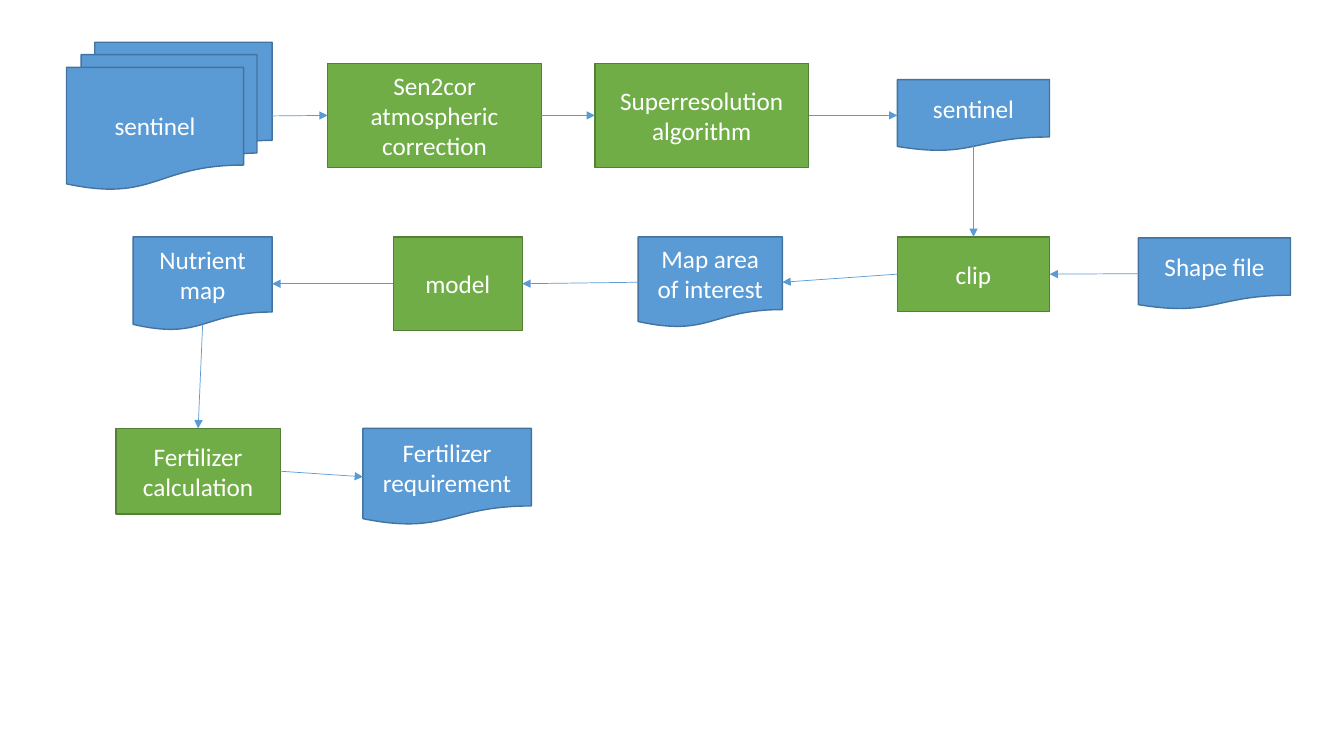
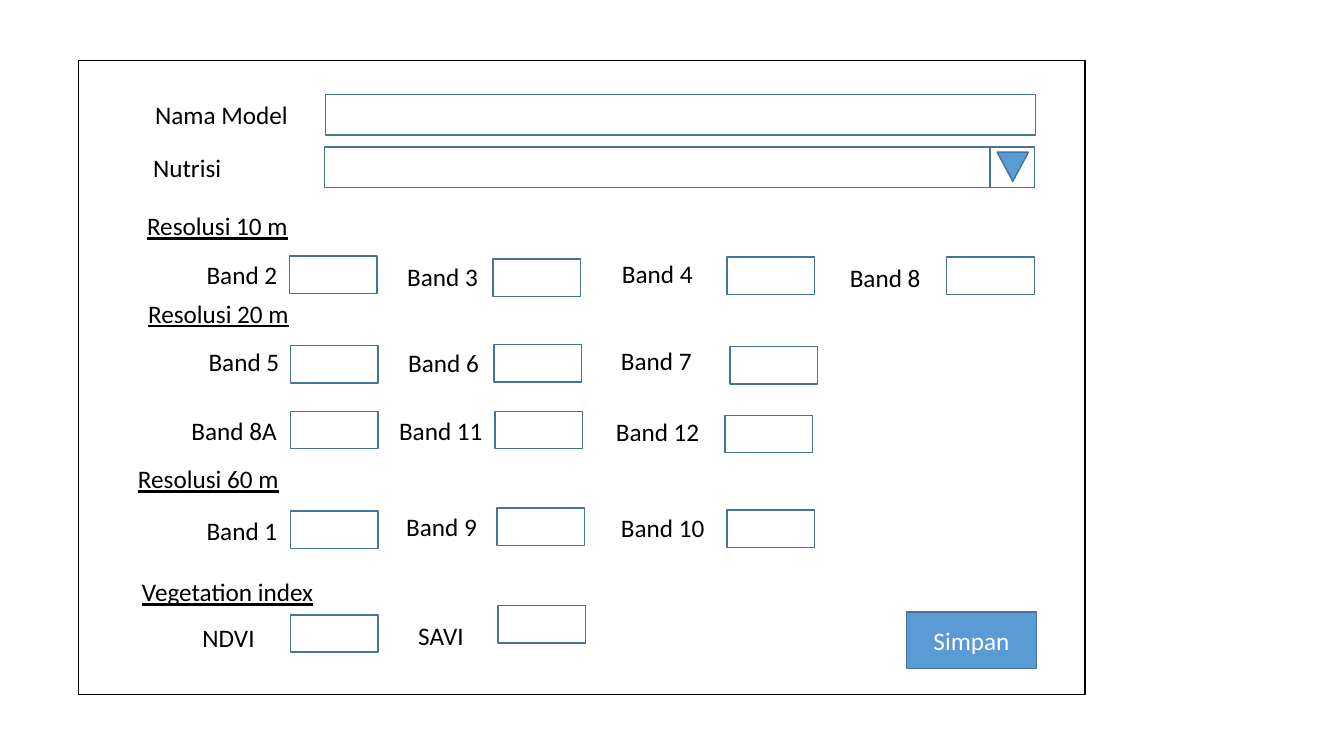
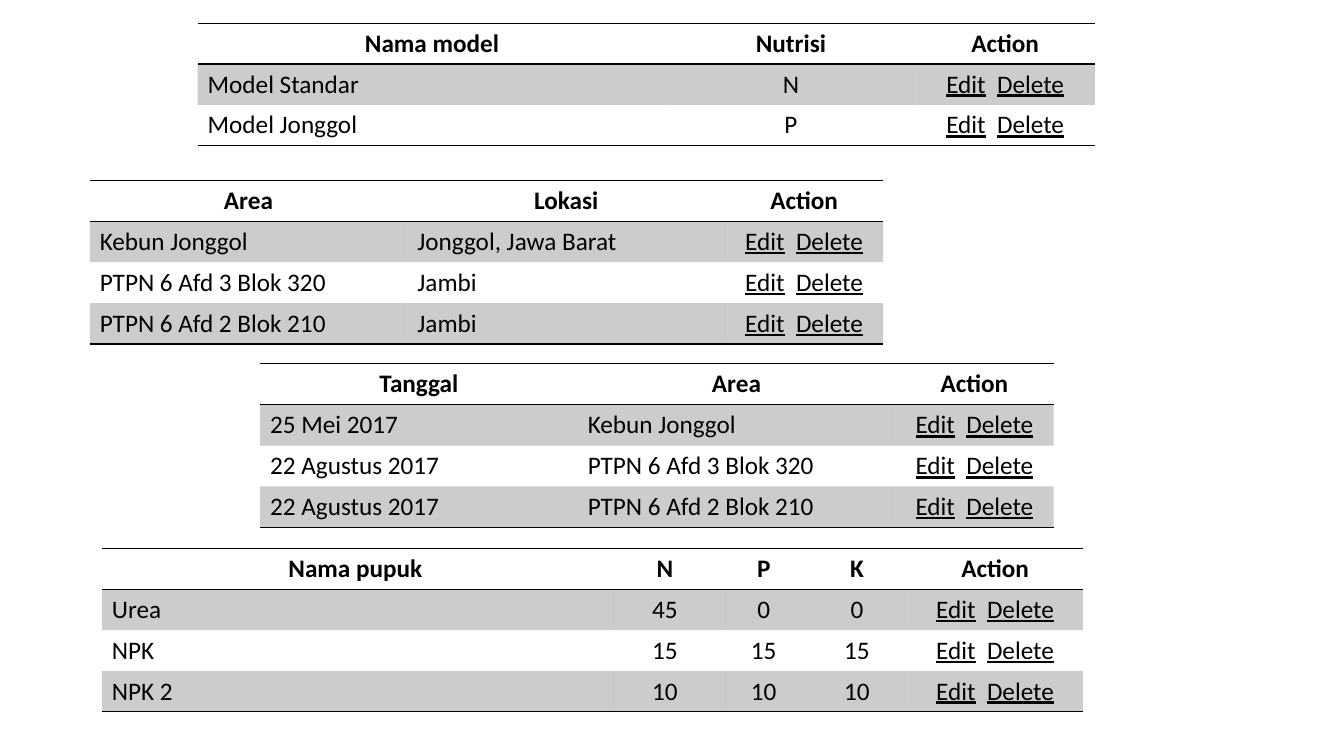
from lxml.etree import SubElement
from pptx import Presentation
from pptx.dml.color import RGBColor
from pptx.enum.shapes import MSO_CONNECTOR, MSO_SHAPE
from pptx.enum.text import MSO_ANCHOR, MSO_AUTO_SIZE, PP_ALIGN
from pptx.oxml.ns import qn
from pptx.util import Inches, Pt

# Shared style
FONT = "Calibri"
TEXT_SIZE = Pt(18)
BLACK = RGBColor(0x00, 0x00, 0x00)
WHITE = RGBColor(0xFF, 0xFF, 0xFF)
BLUE = RGBColor(0x5B, 0x9B, 0xD5)
DARK_BLUE = RGBColor(0x43, 0x73, 0x9E)
GREEN = RGBColor(0x70, 0xAD, 0x47)
DARK_GREEN = RGBColor(0x53, 0x80, 0x35)
PLAIN_TABLE = "{2D5ABB26-0587-4C30-8999-92F81FD0307C}"
ROW_H = 0.405

PROCESS = MSO_SHAPE.FLOWCHART_PROCESS
DOCUMENT = MSO_SHAPE.FLOWCHART_DOCUMENT
MULTIDOCUMENT = MSO_SHAPE.FLOWCHART_MULTIDOCUMENT
TOP, LEFT, BOTTOM, RIGHT = range(4)
WAVE_DEPTH = 0.934  # height of a document shape at the middle of its wavy edge


def style_text(p, color, align=None, bold=False, underline=False):
    p.alignment = align
    font = p.font
    font.name, font.size = FONT, TEXT_SIZE
    font.color.rgb = color
    font.bold, font.underline = bold, underline


def add_box(shapes, kind, x, y, w, h, fill=None, line=DARK_BLUE, text=None):
    sp = shapes.add_shape(kind, Inches(x), Inches(y), Inches(w), Inches(h))
    sp.shadow.inherit = False
    if fill is None:
        sp.fill.background()
    else:
        sp.fill.solid()
        sp.fill.fore_color.rgb = fill
    sp.line.color.rgb = line
    sp.line.width = Pt(1)
    if text:
        tf = sp.text_frame
        tf.word_wrap = True
        tf.vertical_anchor = MSO_ANCHOR.MIDDLE
        tf.text = text
        style_text(tf.paragraphs[0], WHITE, PP_ALIGN.CENTER)
    return sp


def add_label(shapes, text, x, y, w, underline=False):
    tf = shapes.add_textbox(Inches(x), Inches(y), Inches(w), Inches(0.4)).text_frame
    tf.word_wrap = False
    tf.auto_size = MSO_AUTO_SIZE.SHAPE_TO_FIT_TEXT
    tf.text = text
    style_text(tf.paragraphs[0], BLACK, underline=underline)


def add_arrow(s, start, start_site, end, end_site):
    cn = s.shapes.add_connector(MSO_CONNECTOR.STRAIGHT, 0, 0, 0, 0)
    cn.begin_connect(start, start_site)
    cn.end_connect(end, end_site)
    if start_site == BOTTOM and start.auto_shape_type == DOCUMENT:
        cn.begin_y = start.top + int(start.height * WAVE_DEPTH)
    cn.line.color.rgb = BLUE
    cn.line.width = Pt(0.5)
    SubElement(cn.line._get_or_add_ln(), qn("a:tailEnd"), type="triangle")
    SubElement(cn._element.spPr, qn("a:effectLst"))


def add_border(cell, side):
    ln = SubElement(cell._tc.get_or_add_tcPr(), qn("a:" + side), w=str(Pt(1)))
    fill = SubElement(ln, qn("a:solidFill"))
    SubElement(fill, qn("a:srgbClr"), val=str(BLACK))


def fill_cell(cell, shaded):
    if not shaded:
        cell.fill.background()
        return
    cell.fill.solid()
    cell.fill.fore_color.rgb = BLACK
    color = cell._tc.tcPr.find(qn("a:solidFill")).find(qn("a:srgbClr"))
    SubElement(color, qn("a:alpha"), val="20000")


def add_action_links(p):
    for text in ("Edit", "  ", "Delete"):
        r = p.add_run()
        r.text = text
        r.font.underline = bool(text.strip())


def add_record_table(s, x, y, widths, centred, header, records):
    """A table whose last column offers the actions for each record."""
    n_rows, n_cols = len(records) + 1, len(widths)
    table = s.shapes.add_table(n_rows, n_cols, Inches(x), Inches(y),
                               Inches(sum(widths)), Inches(ROW_H * n_rows)).table
    table.horz_banding = False
    table._tbl.tblPr.find(qn("a:tableStyleId")).text = PLAIN_TABLE
    for column, width in zip(table.columns, widths):
        column.width = Inches(width)
    for i, values in enumerate([header + ["Action"]] + [r + [None] for r in records]):
        table.rows[i].height = Inches(ROW_H)
        for j, value in enumerate(values):
            cell = table.cell(i, j)
            p = cell.text_frame.paragraphs[0]
            if value is None:
                add_action_links(p)
            else:
                p.text = value
            centre = i == 0 or value is None or j in centred
            style_text(p, BLACK, PP_ALIGN.CENTER if centre else PP_ALIGN.LEFT, bold=i == 0)
            if i == 0:
                cell.vertical_anchor = MSO_ANCHOR.MIDDLE
                add_border(cell, "lnT")
            if i in (0, n_rows - 1):
                add_border(cell, "lnB")
            fill_cell(cell, shaded=i % 2 == 1)


def build_workflow(s):
    def data(text, x, y, w, h, kind=DOCUMENT):
        return add_box(s.shapes, kind, x, y, w, h, BLUE, DARK_BLUE, text)

    def step(text, x, y, w, h, kind=PROCESS):
        return add_box(s.shapes, kind, x, y, w, h, GREEN, DARK_GREEN, text)

    # Image preparation
    scenes = data("sentinel", 0.66, 0.42, 2.04, 1.46, MULTIDOCUMENT)
    correction = step("Sen2cor atmospheric correction", 3.25, 0.63, 2.12, 1.03)
    superres = step("Superresolution algorithm", 5.9, 0.63, 2.12, 1.03)
    sentinel = data("sentinel", 8.9, 0.79, 1.51, 0.71)

    # Nutrient mapping
    shape_file = data("Shape file", 11.29, 2.36, 1.51, 0.71)
    clip = step("clip", 8.9, 2.35, 1.51, 0.74)
    area_map = data("Map area of interest", 6.33, 2.35, 1.43, 0.9)
    model = step("model", 3.9, 2.35, 1.28, 0.93)
    nutrient_map = data("Nutrient map", 1.32, 2.35, 1.38, 0.93)

    # Fertilizer
    calculation = step("Fertilizer calculation", 1.15, 4.25, 1.63, 0.85, MSO_SHAPE.RECTANGLE)
    requirement = data("Fertilizer requirement", 3.6, 4.25, 1.67, 0.96)

    # Arrows
    for start, start_site, end, end_site in [
        (scenes, RIGHT, correction, LEFT),
        (correction, RIGHT, superres, LEFT),
        (superres, RIGHT, sentinel, LEFT),
        (sentinel, BOTTOM, clip, TOP),
        (shape_file, LEFT, clip, RIGHT),
        (clip, LEFT, area_map, RIGHT),
        (area_map, LEFT, model, RIGHT),
        (model, LEFT, nutrient_map, RIGHT),
        (nutrient_map, BOTTOM, calculation, TOP),
        (calculation, RIGHT, requirement, LEFT),
    ]:
        add_arrow(s, start, start_site, end, end_site)


def build_form(s):
    shapes = s.shapes.add_group_shape().shapes
    add_box(shapes, PROCESS, 0.78, 0.6, 9.98, 6.29, line=BLACK)

    # Model name and nutrient
    add_label(shapes, "Nama Model", 1.44, 0.94, 1.53)
    add_box(shapes, PROCESS, 3.23, 0.94, 7.04, 0.4)
    add_label(shapes, "Nutrisi", 1.42, 1.46, 0.88)
    add_box(shapes, PROCESS, 3.22, 1.46, 7.04, 0.4)
    add_box(shapes, MSO_SHAPE.FLOWCHART_MERGE, 9.89, 1.51, 0.31, 0.29, BLUE)
    add_box(shapes, PROCESS, 9.82, 1.46, 0.44, 0.4)

    # Section headings
    for text, x, y, w in [
        ("Resolusi 10 m", 1.36, 2.04, 1.61),
        ("Resolusi 20 m", 1.37, 2.91, 1.61),
        ("Resolusi 60 m", 1.27, 4.55, 1.61),
        ("Vegetation index", 1.31, 5.67, 1.92),
    ]:
        add_label(shapes, text, x, y, w, underline=True)

    # Fields: label, its place and width, place of the input box
    for text, x, y, w, box_x, box_y in [
        ("Band 2", 1.95, 2.52, 0.91, 2.87, 2.54),
        ("Band 3", 3.94, 2.54, 0.91, 4.89, 2.57),
        ("Band 4", 6.07, 2.51, 0.91, 7.21, 2.55),
        ("Band 8", 8.33, 2.55, 0.91, 9.39, 2.55),
        ("Band 5", 1.97, 3.39, 0.91, 2.88, 3.43),
        ("Band 6", 3.95, 3.4, 0.91, 4.9, 3.42),
        ("Band 7", 6.06, 3.38, 0.91, 7.24, 3.44),
        ("Band 8A", 1.8, 4.07, 1.06, 2.88, 4.08),
        ("Band 11", 3.86, 4.07, 1.04, 4.91, 4.08),
        ("Band 12", 6.01, 4.08, 1.04, 7.19, 4.12),
        ("Band 1", 1.95, 5.06, 0.91, 2.88, 5.07),
        ("Band 9", 3.93, 5.02, 0.91, 4.93, 5.04),
        ("Band 10", 6.06, 5.03, 1.04, 7.21, 5.06),
        ("NDVI", 1.91, 6.12, 0.72, 2.88, 6.1),
        ("SAVI", 4.05, 6.1, 0.66, 4.94, 6.01),
    ]:
        add_label(shapes, text, x, y, w)
        add_box(shapes, PROCESS, box_x, box_y, 0.87, 0.37)

    # Save button
    add_box(shapes, PROCESS, 8.99, 6.07, 1.29, 0.56, BLUE, text="Simpan")


def build_records(s):
    # Models
    add_record_table(s, 1.96, 0.23, [4.65, 2.47, 1.78], {1}, ["Nama model", "Nutrisi"],
                     [["Model Standar", "N"], ["Model Jonggol", "P"]])
    # Areas
    area_widths = [3.15, 3.15, 1.57]
    add_record_table(s, 0.89, 1.79, area_widths, set(), ["Area", "Lokasi"],
                     [["Kebun Jonggol", "Jonggol, Jawa Barat"],
                      ["PTPN 6 Afd 3 Blok 320", "Jambi"],
                      ["PTPN 6 Afd 2 Blok 210", "Jambi"]])
    # Dates
    add_record_table(s, 2.58, 3.61, area_widths, set(), ["Tanggal", "Area"],
                     [["25 Mei 2017", "Kebun Jonggol"],
                      ["22 Agustus 2017", "PTPN 6 Afd 3 Blok 320"],
                      ["22 Agustus 2017", "PTPN 6 Afd 2 Blok 210"]])
    # Fertilizers
    add_record_table(s, 1.01, 5.44, [5.03, 1.11, 0.85, 1, 1.74], {1, 2, 3},
                     ["Nama pupuk", "N", "P", "K"],
                     [["Urea", "45", "0", "0"],
                      ["NPK", "15", "15", "15"],
                      ["NPK 2", "10", "10", "10"]])


def main():
    prs = Presentation()
    prs.slide_width, prs.slide_height = Inches(13.33), Inches(7.5)
    blank = prs.slide_layouts[6]
    for build in (build_workflow, build_form, build_records):
        s = prs.slides.add_slide(blank)
        s.background.fill.solid()
        s.background.fill.fore_color.rgb = WHITE
        build(s)
    prs.save("out.pptx")


main()
